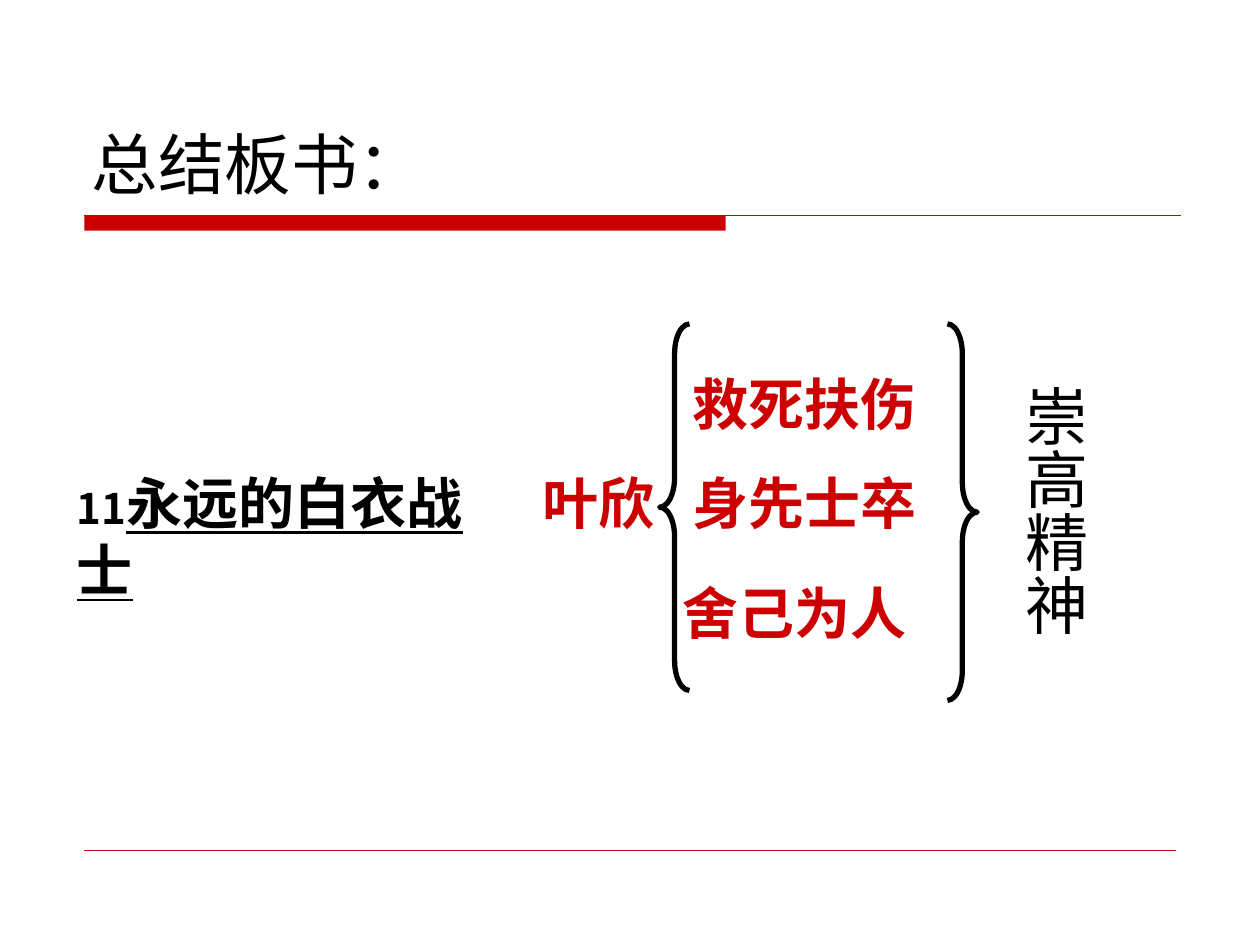
from pptx import Presentation
from pptx.dml.color import RGBColor
from pptx.enum.lang import MSO_LANGUAGE_ID as Language
from pptx.enum.shapes import MSO_CONNECTOR as Connector, MSO_SHAPE as Shape
from pptx.enum.text import MSO_ANCHOR as Anchor
from pptx.oxml.ns import qn
from pptx.util import Cm, Pt
from lxml.etree import SubElement

RED = "CC0000"
BLACK = "000000"
SANS = "DejaVu Sans"
CJK = "Noto Sans CJK SC"


def color(hex_string):
    return RGBColor.from_string(hex_string)


def style_span(span, size, ink=BLACK, bold=False, underline=False, name=SANS):
    font = span.font
    font.size = Pt(size)
    font.bold = bold
    font.underline = underline
    font.color.rgb = color(ink)
    font.language_id = Language.SIMPLIFIED_CHINESE
    font.name = name
    # The East Asian typeface follows the Latin one
    SubElement(span._r.get_or_add_rPr(), qn("a:ea")).set("typeface", name)


def add_text(page, text, left, top, width, height, size, wrap=True,
             anchor=Anchor.TOP, **style):
    box = page.shapes.add_textbox(Cm(left), Cm(top), Cm(width), Cm(height))
    frame = box.text_frame
    frame.word_wrap = wrap
    frame.vertical_anchor = anchor
    frame.text = text
    para = frame.paragraphs[0]
    style_span(para.runs[0], size, **style)
    return box


def add_vertical_text(page, text, left, top, width, height, size):
    box = add_text(page, text, left, top, width, height, size)
    frame = box.text_frame
    frame.margin_left = frame.margin_right = Cm(0.13)
    frame.margin_top = frame.margin_bottom = Cm(0.25)
    frame._txBody.bodyPr.set("vert", "eaVert")


def add_rule(page, left, right, y, weight):
    rule = page.shapes.add_connector(
        Connector.STRAIGHT, Cm(left), Cm(y), Cm(right), Cm(y))
    rule.line.color.rgb = color(RED)
    rule.line.width = Pt(weight)
    SubElement(rule._element.spPr, qn("a:effectLst"))


def add_bar(page, left, top, width, height):
    bar = page.shapes.add_shape(
        Shape.RECTANGLE, Cm(left), Cm(top), Cm(width), Cm(height))
    bar.shadow.inherit = False
    bar.fill.solid()
    bar.fill.fore_color.rgb = color(RED)
    bar.line.fill.background()


def add_brace(page, kind, left, top, height):
    brace = page.shapes.add_shape(
        kind, Cm(left), Cm(top), Cm(0.6), Cm(height))
    brace.shadow.inherit = False
    brace.adjustments[0] = 1.0
    brace.fill.background()
    brace.line.color.rgb = color(BLACK)
    brace.line.width = Pt(3)


def main():
    deck = Presentation()
    deck.slide_width, deck.slide_height = Cm(25.4), Cm(19.05)
    page = deck.slides.add_slide(deck.slide_layouts[6])

    # Title rule and footer rule
    add_bar(page, 1.7, 4.34, 12.93, 0.31)
    add_rule(page, 1.7, 23.8, 4.34, 0.75)
    add_rule(page, 1.7, 23.7, 17.15, 0.25)

    # Title
    add_text(page, "总结板书：", 1.6, 0.84, 22.23, 3.38, 38,
             anchor=Anchor.BOTTOM)

    # Lesson number and name
    lesson = add_text(page, "11", 1.3, 9.32, 9.4, 2.97, 24,
                      bold=True, name=CJK)
    name = lesson.text_frame.paragraphs[0].add_run()
    name.text = "永远的白衣战士"
    style_span(name, 32, bold=True, underline=True, name=CJK)

    # Heroine and her deeds
    for text, left, top, width in (
        ("叶欣", 10.69, 9.32, 2.77),
        ("救死扶伤", 13.72, 7.32, 5.03),
        ("身先士卒", 13.72, 9.32, 5.03),
        ("舍己为人", 13.51, 11.53, 5.03),
    ):
        add_text(page, text, left, top, width, 1.63, 32,
                 wrap=False, ink=RED, bold=True)

    # Braces around the deeds
    add_brace(page, Shape.LEFT_BRACE, 13.3, 6.53, 7.39)
    add_brace(page, Shape.RIGHT_BRACE, 19.1, 6.53, 7.59)

    # Conclusion
    add_vertical_text(page, "崇高精神", 20.12, 7.52, 2.03, 6.2, 36)

    deck.save("out.pptx")


if __name__ == "__main__":
    main()
